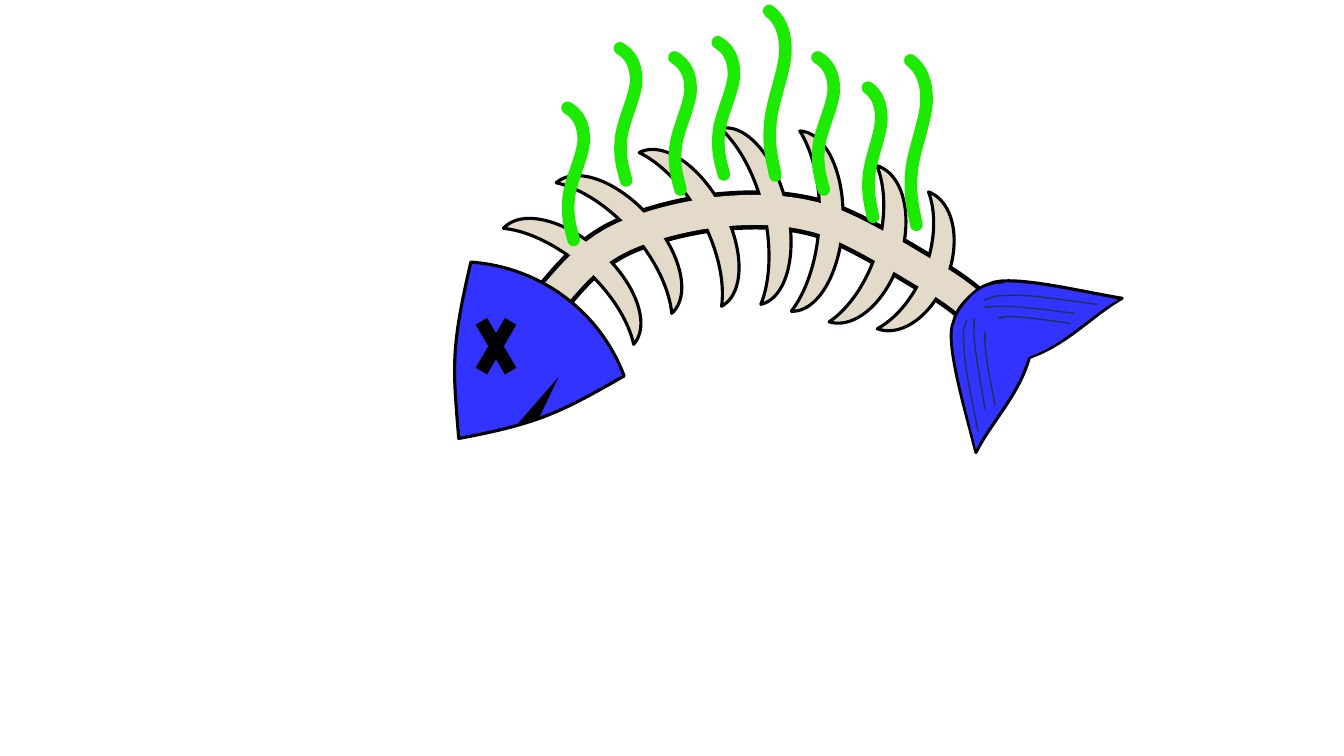
from pptx import Presentation
from pptx.dml.color import RGBColor
from pptx.enum.shapes import MSO_SHAPE as SHAPE
from pptx.oxml.ns import qn
from pptx.util import Inches, Pt

BLACK, BONE, BLUE, GREEN, NAVY = "000000", "E3DAC9", "3333FF", "1CEA00", "1E3256"

# Curves: a start point, then three points for each Bezier segment
SPINE = [(5.44, 3), (5.63, 2.77), (5.82, 2.54), (6.1, 2.39),
         (6.38, 2.24), (6.8, 2.14), (7.14, 2.1),
         (7.48, 2.07), (7.79, 2.07), (8.14, 2.17),
         (8.49, 2.28), (8.97, 2.59), (9.23, 2.74),
         (9.5, 2.9), (9.61, 3), (9.72, 3.1)]
HEAD = [(4.67, 2.6), (5.36, 2.65), (5.95, 3.09), (6.19, 3.73),
        (5.56, 4.09), (5.35, 4.2), (4.55, 4.35),
        (4.49, 3.63), (4.47, 3.46), (4.67, 2.6)]
MOUTH = [(5.14, 4.2), (5.54, 3.74), (5.35, 4.14)]
FIN_EDGES = [
    [(9.76, 3.59), (9.13, 3.27), (9.65, 2.88), (9.81, 2.82),
     (10, 2.71), (10.75, 2.9), (11.13, 2.96),
     (10.75, 3.17), (10.38, 3.67), (9.76, 3.59)],
    [(10.23, 3.1), (9.87, 2.48), (9.52, 3.03), (9.46, 3.19),
     (9.36, 3.38), (9.59, 4.12), (9.68, 4.49),
     (9.87, 4.1), (10.34, 3.71), (10.23, 3.1)]]
FIN_INNERS = [
    [(9.76, 3.59), (9.15, 3.28), (9.66, 2.9), (9.81, 2.84),
     (9.99, 2.74), (10.72, 2.92), (11.08, 2.98),
     (10.71, 3.18), (10.36, 3.66), (9.76, 3.59)],
    [(10.21, 3.11), (9.86, 2.51), (9.52, 3.04), (9.47, 3.2),
     (9.38, 3.38), (9.6, 4.1), (9.68, 4.46),
     (9.86, 4.08), (10.32, 3.7), (10.21, 3.11)]]
FIN_RAYS = [
    [(9.76, 2.98), (9.9, 2.93), (9.82, 2.94), (10.01, 2.93),
     (10.2, 2.92), (10.5, 2.97), (10.88, 3.02)],
    [(9.85, 3.04), (9.74, 3.06), (9.73, 3.04), (9.88, 3.04),
     (10.04, 3.03), (10.35, 3.07), (10.66, 3.11)],
    [(9.96, 3.15), (9.88, 3.16), (9.87, 3.15), (9.99, 3.14),
     (10.12, 3.14), (10.37, 3.17), (10.62, 3.21)],
    [(9.59, 3.17), (9.55, 3.31), (9.55, 3.23), (9.56, 3.42),
     (9.56, 3.61), (9.63, 3.91), (9.7, 4.28)],
    [(9.66, 3.25), (9.67, 3.14), (9.65, 3.13), (9.66, 3.29),
     (9.66, 3.45), (9.72, 3.75), (9.77, 4.06)],
    [(9.77, 3.36), (9.78, 3.28), (9.76, 3.27), (9.77, 3.39),
     (9.77, 3.52), (9.82, 3.77), (9.87, 4.02)]]
# Left, top, width, height, rotation
RIBS = [(5.56, 1.8, 0.47, 1.73, 131.7), (6.03, 1.44, 0.47, 1.73, 138.5),
        (6.72, 1.3, 0.47, 1.73, 151.8), (7.34, 1.2, 0.47, 1.79, 167.1),
        (7.89, 1.31, 0.47, 1.79, 182.7), (8.45, 1.68, 0.49, 1.62, 197),
        (8.94, 1.94, 0.47, 1.45, 200.5)]
# One wisp of unit height, then start point, width factor and height of each
WISP = [(0, 0), (0.11, 0.05), (0.16, 0.13), (0.16, 0.24),
        (0.16, 0.36), (0.02, 0.56), (0.01, 0.69),
        (-0.01, 0.82), (0.03, 0.91), (0.06, 1)]
WISPS = [(5.63, 1.07, 1, 1.31), (6.15, 0.48, 1, 1.31), (7.12, 0.42, 1, 1.31),
         (6.69, 0.57, 1, 1.31), (7.63, 0.11, 1, 1.63), (9.03, 0.6, 1, 1.63),
         (8.11, 0.57, 1, 1.31), (8.61, 0.87, 0.82, 1.28)]


def rgb(color):
    return RGBColor.from_string(color)


def style(s, fill=None, line=None, width=2.25):
    s.shadow.inherit = False
    if fill:
        s.fill.solid()
        s.fill.fore_color.rgb = rgb(fill)
    else:
        s.fill.background()
    if line:
        s.line.color.rgb = rgb(line)
        s.line.width = Pt(width)
    else:
        s.line.fill.background()
    return s


def add_outline(shapes, points, closed=False, **look):
    pts = [(Inches(x), Inches(y)) for x, y in points]
    builder = shapes.build_freeform(*pts[0])
    builder.add_line_segments(pts[1:], close=closed)
    return style(builder.convert_to_shape(), **look)


def add_curve(shapes, points, closed=False, **look):
    s = add_outline(shapes, points, closed, **look)
    # Join every three line segments into one Bezier segment
    outline = s._element.find(".//" + qn("a:path"))
    steps = outline.findall(qn("a:lnTo"))
    for i in range(0, len(steps), 3):
        curve = steps[i]
        for step in steps[i + 1:i + 3]:
            curve.append(step[0])
            outline.remove(step)
        curve.tag = qn("a:cubicBezTo")
    return s


def add_preset(shapes, kind, left, top, width, height, rotation=0, **look):
    s = shapes.add_shape(kind, Inches(left), Inches(top), Inches(width), Inches(height))
    s.rotation = rotation
    return style(s, **look)


def add_wisp(shapes, left, top, stretch, height):
    points = [(left + x * stretch, top + y * height) for x, y in WISP]
    s = add_curve(shapes, points, line=GREEN, width=9)
    s.line._get_or_add_ln().set("cap", "rnd")


def add_tail(shapes):
    tail = shapes.add_group_shape().shapes
    for fin in FIN_EDGES:
        add_curve(tail, fin, closed=True, fill=BLUE, line=BLACK)
    for fin in FIN_INNERS:
        add_curve(tail, fin, closed=True, fill=BLUE)
    for ray in FIN_RAYS:
        add_curve(tail, ray, line=NAVY, width=1)


def main():
    prs = Presentation()
    prs.slide_width, prs.slide_height = Inches(13.33), Inches(7.5)
    shapes = prs.slides.add_slide(prs.slide_layouts[6]).shapes

    # Skeleton and smell: the bone-coloured spine covers the rib outlines
    add_curve(shapes, SPINE, line=BLACK, width=28)
    for rib in RIBS:
        add_preset(shapes, SHAPE.MOON, *rib, fill=BONE, line=BLACK)
    for wisp in WISPS:
        add_wisp(shapes, *wisp)
    add_curve(shapes, SPINE, line=BONE, width=21.5)

    # Head, mouth, tail and eye
    add_curve(shapes, HEAD, closed=True, fill=BLUE, line=BLACK)
    add_outline(shapes, MOUTH, closed=True, fill=BLACK)
    add_tail(shapes)
    add_preset(shapes, SHAPE.MATH_MULTIPLY, 4.64, 2.96, 0.56, 0.95, fill=BLACK)

    prs.save("out.pptx")


if __name__ == "__main__":
    main()
